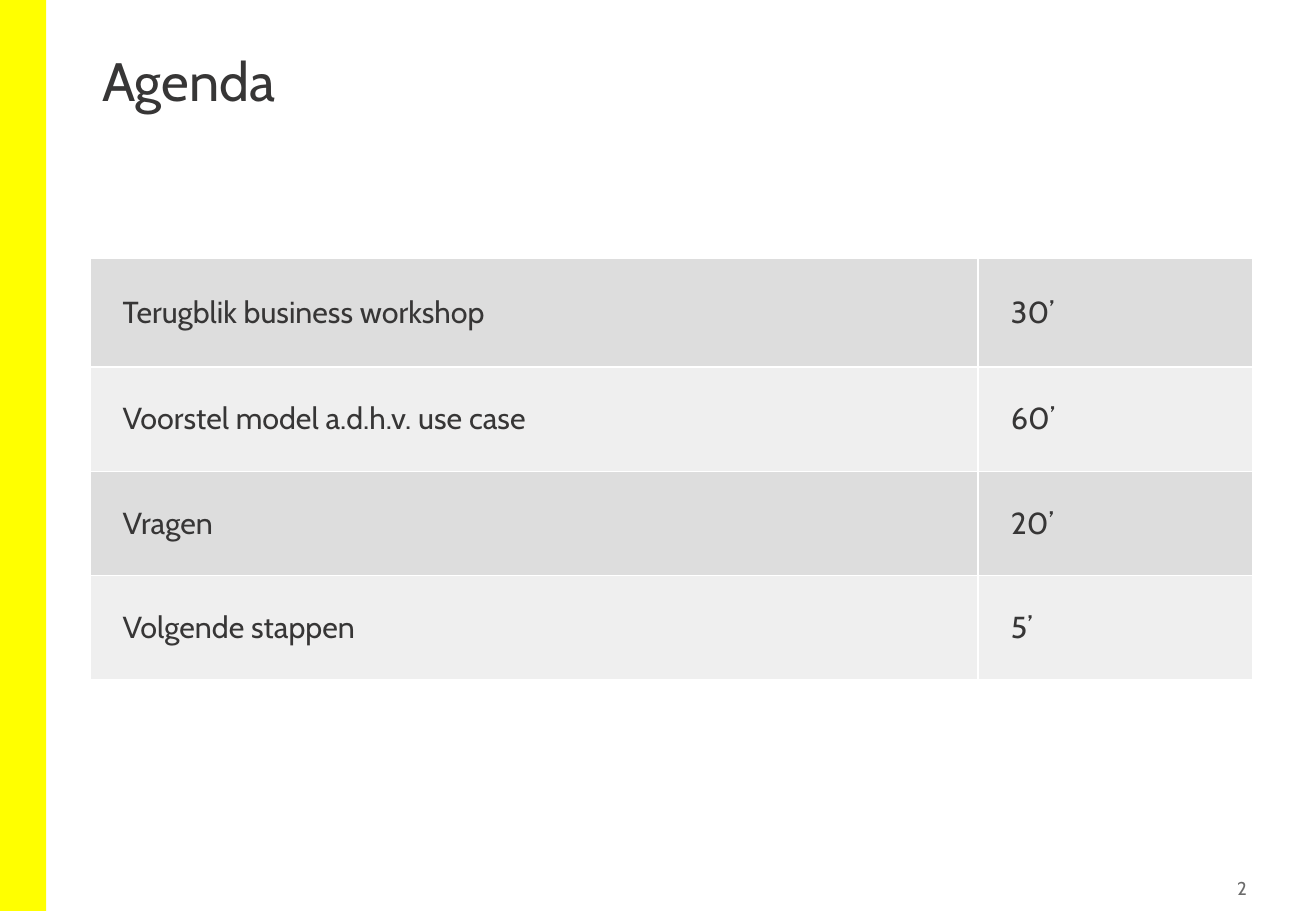
from lxml import etree
from pptx import Presentation
from pptx.dml.color import RGBColor
from pptx.enum.shapes import MSO_SHAPE
from pptx.enum.text import MSO_ANCHOR, PP_ALIGN
from pptx.oxml.ns import qn
from pptx.util import Inches, Pt

RECT = MSO_SHAPE.RECTANGLE
TOP, MIDDLE = MSO_ANCHOR.TOP, MSO_ANCHOR.MIDDLE
LEFT, RIGHT = PP_ALIGN.LEFT, PP_ALIGN.RIGHT
YELLOW = RGBColor(0xFF, 0xFF, 0x00)
WHITE = RGBColor(0xFF, 0xFF, 0xFF)
DARK = RGBColor(0x37, 0x36, 0x36)
GRAY = RGBColor(0x6B, 0x6B, 0x6B)
BANDS = [RGBColor(0xDD, 0xDD, 0xDD), RGBColor(0xEF, 0xEF, 0xEF)]


def write(frame, text, size, color, align=LEFT):
    frame.text = text
    para = frame.paragraphs[0]
    para.alignment = align
    font = para.runs[0].font
    for name, value in {"name": "Cabin", "size": Pt(size), "bold": False}.items():
        setattr(font, name, value)
    font.color.rgb = color
    return para


def edge(cell):
    props = cell._tc.get_or_add_tcPr()
    for side in ("a:lnL", "a:lnR", "a:lnT", "a:lnB"):
        line = etree.SubElement(props, qn(side), w=str(Pt(1)))
        fill = etree.SubElement(line, qn("a:solidFill"))
        etree.SubElement(fill, qn("a:srgbClr"), val=str(WHITE))


deck = Presentation()
deck.slide_width, deck.slide_height = Inches(10.83), Inches(7.5)
slide = deck.slides.add_slide(deck.slide_layouts[5])

bar = slide.shapes.add_shape(RECT, 0, 0, Inches(0.38), Inches(7.5))
bar.shadow.inherit = False
bar.fill.solid()
bar.fill.fore_color.rgb = YELLOW
bar.line.fill.background()

title = slide.shapes.title
spot = {"left": 0.74, "top": 0.4, "width": 9.34, "height": 1.08}
for name, value in spot.items():
    setattr(title, name, Inches(value))
title.text_frame.vertical_anchor = TOP
write(title.text_frame, "Agenda", 32, DARK).line_spacing = 0.9

page = slide.shapes.add_textbox(Inches(9.5), Inches(7.17), Inches(0.81), Inches(0.29))
frame = page.text_frame
frame.word_wrap = True
frame.vertical_anchor = MIDDLE
for side in ("left", "right", "top", "bottom"):
    setattr(frame, f"margin_{side}", Inches(0.05))
write(frame, "2", 11, GRAY, RIGHT)

items = [
    ("Terugblik business workshop", "30’"),
    ("Voorstel model a.d.h.v. use case", "60’"),
    ("Vragen", "20’"),
    ("Volgende stappen", "5’"),
]
table = slide.shapes.add_table(
    len(items), 2, Inches(0.74), Inches(2.13), Inches(9.57), Inches(3.47)
).table
table.first_row = False
table.horz_banding = False
for col, width in zip(table.columns, (7.31, 2.26)):
    col.width = Inches(width)
for i, (row, texts) in enumerate(zip(table.rows, items)):
    row.height = Inches(0.86 if i else 0.89)
    for cell, text in zip(row.cells, texts):
        edge(cell)
        cell.fill.solid()
        cell.fill.fore_color.rgb = BANDS[i % 2]
        cell.vertical_anchor = MIDDLE
        cell.margin_left = Inches(0.27)
        write(cell.text_frame, text, 18, DARK)

deck.save("out.pptx")
